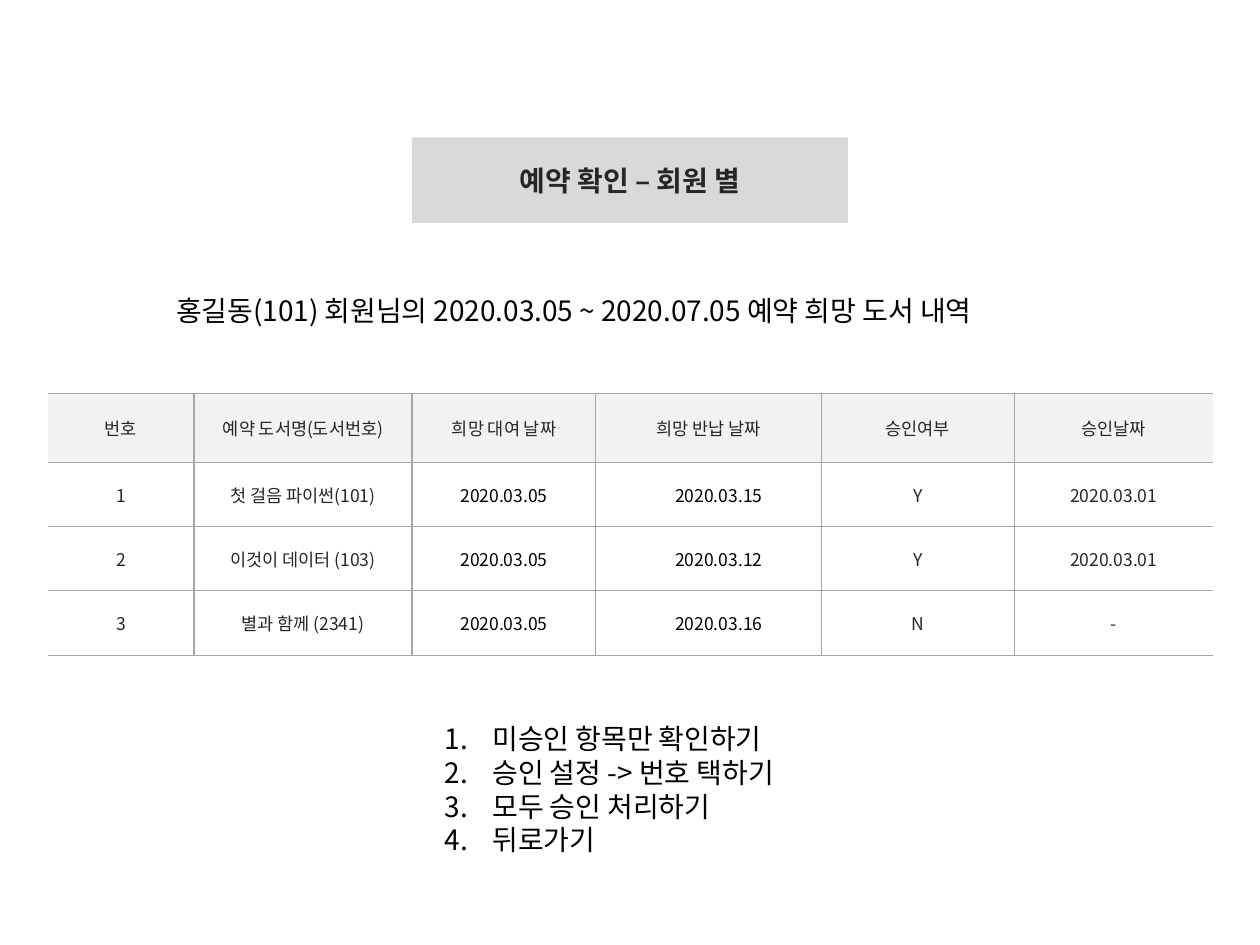
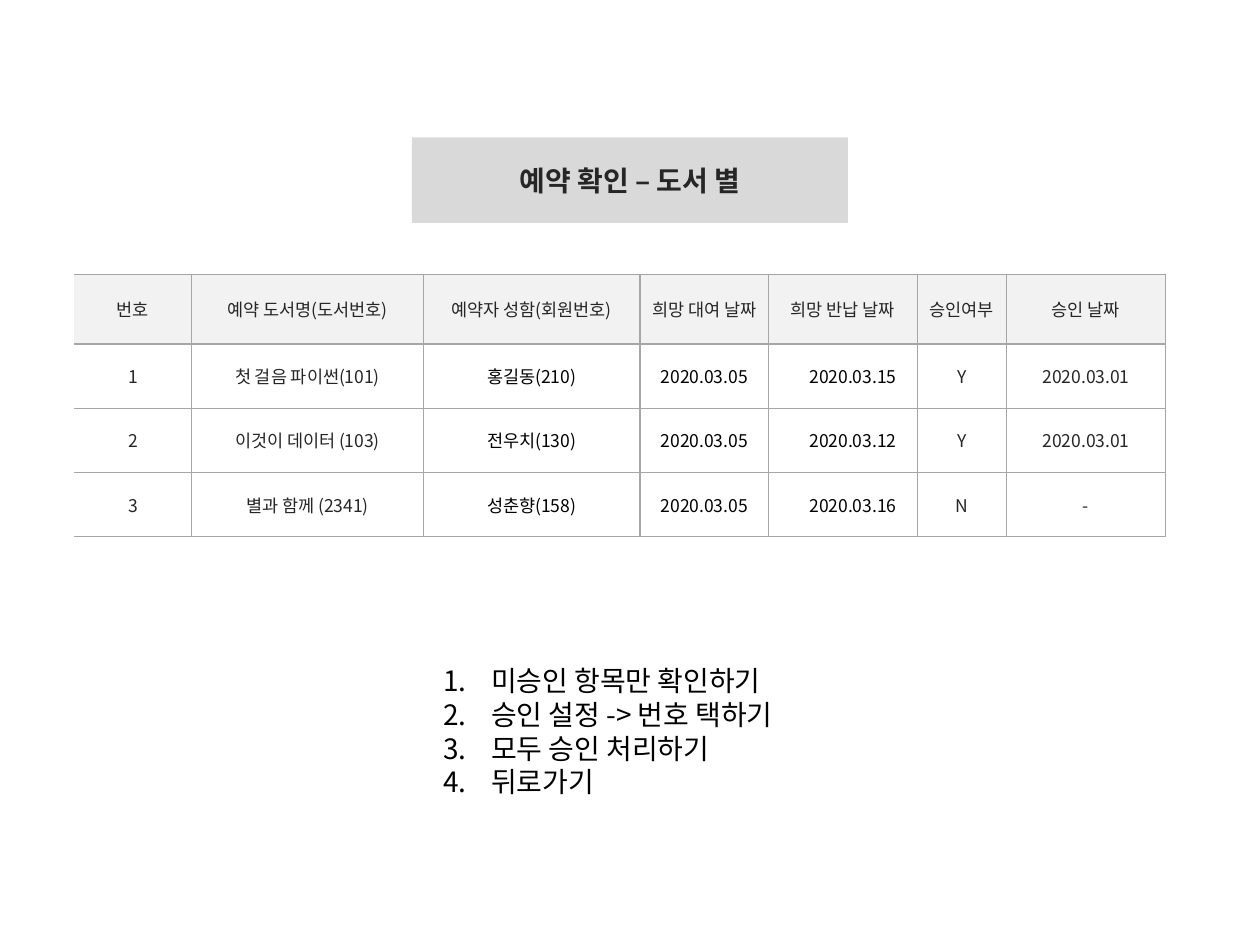
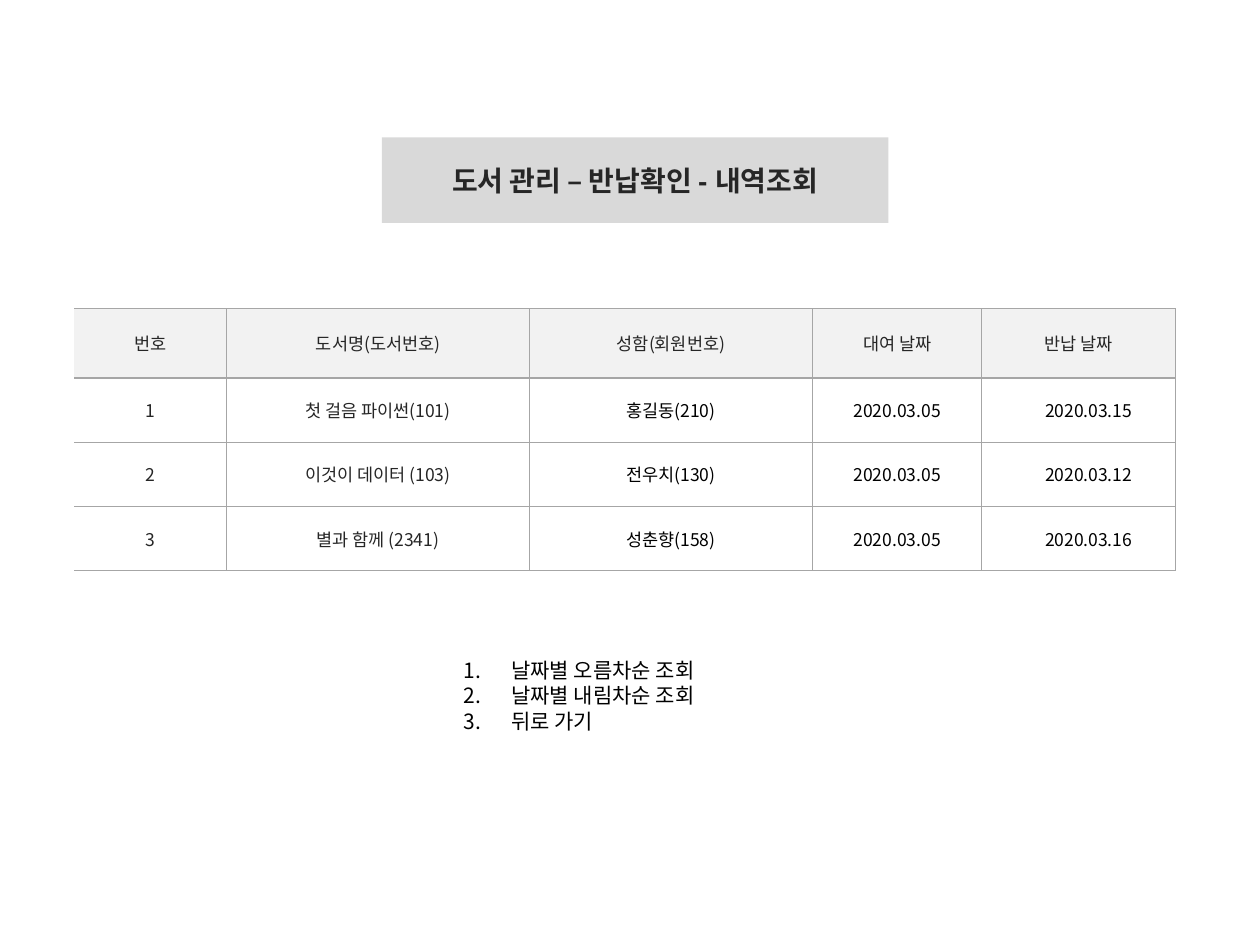
"""Builds three library screens: reservations by member, by book, and returned books."""
import dataclasses

import lxml.etree
import pptx
import pptx.dml.color
import pptx.enum.shapes
import pptx.enum.text
import pptx.oxml.ns
import pptx.slide
import pptx.table
import pptx.text.text
import pptx.util

Inches = pptx.util.Inches
Pt = pptx.util.Pt
RGBColor = pptx.dml.color.RGBColor

BLACK = RGBColor(0x00, 0x00, 0x00)
CHARCOAL = RGBColor(0x26, 0x26, 0x26)
RULE_GREY = RGBColor(0xA6, 0xA6, 0xA6)
BAND_GREY = RGBColor(0xD9, 0xD9, 0xD9)
HEADER_GREY = RGBColor(0xF2, 0xF2, 0xF2)
WHITE = RGBColor(0xFF, 0xFF, 0xFF)

TITLE_FONT = "Arial"
BODY_FONT = "Noto Sans CJK KR"
HEADER_HEIGHT = Inches(0.55)
ROW_HEIGHT = Inches(0.51)
LIST_INDENT = Inches(0.38)
RETURN_INSET = Inches(0.16)


@dataclasses.dataclass(frozen=True)
class Column:
    """One table column with its header, width and entries."""
    header: str
    width: float
    entries: tuple[str, ...]
    colour: RGBColor = CHARCOAL
    inset: int = 0


@dataclasses.dataclass(frozen=True)
class Grid:
    """A table of columns, with or without a closing rule on the right."""
    left: float
    top: float
    columns: tuple[Column, ...]
    right_rule: bool = True


@dataclasses.dataclass(frozen=True)
class TextBlock:
    """A free text box, numbered when it is a menu."""
    left: float
    top: float
    width: float
    height: float
    lines: tuple[str, ...]
    size: int = 16
    numbered: bool = True


@dataclasses.dataclass(frozen=True)
class Screen:
    """Everything shown on one slide."""
    title: str
    grid: Grid
    blocks: tuple[TextBlock, ...]
    title_left: float = 3.27
    title_width: float = 3.46


def add_span(para: pptx.text.text._Paragraph, text: str, size: int,
             colour: RGBColor, font: str = BODY_FONT, bold: bool = False) -> None:
    """Add one run with its Latin and East Asian fonts."""
    span = para.add_run()
    span.text = text
    span.font.size = Pt(size)
    span.font.bold = bold
    span.font.color.rgb = colour
    span.font.name = font
    east_asian = lxml.etree.Element(pptx.oxml.ns.qn("a:ea"), typeface=BODY_FONT)
    span.font._element.find(pptx.oxml.ns.qn("a:latin")).addnext(east_asian)


def add_title(page: pptx.slide.Slide, screen: Screen) -> None:
    """Draw the grey title band."""
    band = page.shapes.add_shape(
        pptx.enum.shapes.MSO_SHAPE.RECTANGLE, Inches(screen.title_left),
        Inches(1.09), Inches(screen.title_width), Inches(0.68))
    band.shadow.inherit = False
    band.fill.solid()
    band.fill.fore_color.rgb = BAND_GREY
    band.line.fill.background()
    band.text_frame.vertical_anchor = pptx.enum.text.MSO_ANCHOR.MIDDLE
    para = band.text_frame.paragraphs[0]
    para.alignment = pptx.enum.text.PP_ALIGN.CENTER
    add_span(para, screen.title, 16, CHARCOAL, TITLE_FONT, True)


def number_paragraph(para: pptx.text.text._Paragraph) -> None:
    """Give a paragraph a hanging automatic number."""
    properties = para._p.get_or_add_pPr()
    properties.set("marL", str(LIST_INDENT))
    properties.set("indent", str(-LIST_INDENT))
    lxml.etree.SubElement(properties, pptx.oxml.ns.qn("a:buAutoNum"), type="arabicPeriod")


def add_block(page: pptx.slide.Slide, block: TextBlock) -> None:
    """Draw a text box that does not wrap."""
    box = page.shapes.add_textbox(Inches(block.left), Inches(block.top),
                                  Inches(block.width), Inches(block.height))
    frame = box.text_frame
    frame.word_wrap = False
    frame.auto_size = pptx.enum.text.MSO_AUTO_SIZE.SHAPE_TO_FIT_TEXT
    for index, line in enumerate(block.lines):
        para = frame.add_paragraph() if index else frame.paragraphs[0]
        if block.numbered:
            number_paragraph(para)
        add_span(para, line, block.size, BLACK)


def rule_cell(cell: pptx.table._Cell, left: bool, right: bool) -> None:
    """Rule a cell above and below, and at the sides asked for."""
    properties = cell._tc.get_or_add_tcPr()
    for side, shown in (("L", left), ("R", right), ("T", True), ("B", True)):
        line = lxml.etree.SubElement(
            properties, pptx.oxml.ns.qn(f"a:ln{side}"), w=str(Pt(0.75)))
        if shown:
            fill = lxml.etree.SubElement(line, pptx.oxml.ns.qn("a:solidFill"))
            lxml.etree.SubElement(fill, pptx.oxml.ns.qn("a:srgbClr"), val=str(RULE_GREY))
        else:
            lxml.etree.SubElement(line, pptx.oxml.ns.qn("a:noFill"))


def fill_cell(cell: pptx.table._Cell, text: str, background: RGBColor,
              colour: RGBColor, inset: int) -> None:
    """Colour a cell and centre its text."""
    cell.fill.solid()
    cell.fill.fore_color.rgb = background
    cell.margin_left = inset
    cell.margin_right = cell.margin_top = cell.margin_bottom = 0
    cell.vertical_anchor = pptx.enum.text.MSO_ANCHOR.MIDDLE
    para = cell.text_frame.paragraphs[0]
    para.alignment = pptx.enum.text.PP_ALIGN.CENTER
    add_span(para, text, 10, colour)


def add_grid(page: pptx.slide.Slide, grid: Grid) -> None:
    """Draw a table under a shaded header row."""
    entry_count = len(grid.columns[0].entries)
    table = page.shapes.add_table(
        entry_count + 1, len(grid.columns), Inches(grid.left), Inches(grid.top),
        Inches(sum(column.width for column in grid.columns)),
        HEADER_HEIGHT + entry_count * ROW_HEIGHT).table
    table.first_row = table.horz_banding = False
    for index, row in enumerate(table.rows):
        row.height = ROW_HEIGHT if index else HEADER_HEIGHT
    last = len(grid.columns) - 1
    for across, column in enumerate(grid.columns):
        table.columns[across].width = Inches(column.width)
        for down, text in enumerate((column.header, *column.entries)):
            cell = table.cell(down, across)
            rule_cell(cell, across > 0, across < last or grid.right_rule)
            if down:
                fill_cell(cell, text, WHITE, column.colour, column.inset)
            else:
                fill_cell(cell, text, HEADER_GREY, CHARCOAL, 0)


def number_column(width: float) -> Column:
    """Return the row number column."""
    return Column("번호", width, ("1", "2", "3"))


def book_column(header: str, width: float) -> Column:
    """Return the book title column."""
    return Column(header, width, ("첫 걸음 파이썬(101)", "이것이 데이터 (103)", "별과 함께 (2341)"))


def member_column(header: str, width: float) -> Column:
    """Return the member name column."""
    return Column(header, width, ("홍길동(210)", "전우치(130)", "성춘향(158)"), BLACK)


def loan_columns(prefix: str, loan_width: float, return_width: float) -> tuple[Column, ...]:
    """Return the loan date and return date columns."""
    return (
        Column(f"{prefix}대여 날짜", loan_width, ("2020.03.05",) * 3, BLACK),
        Column(f"{prefix}반납 날짜", return_width,
               ("2020.03.15", "2020.03.12", "2020.03.16"), BLACK, RETURN_INSET),
    )


def approval_columns(date_header: str, state_width: float,
                     date_width: float) -> tuple[Column, ...]:
    """Return the approval state and approval date columns."""
    return (
        Column("승인여부", state_width, ("Y", "Y", "N")),
        Column(date_header, date_width, ("2020.03.01", "2020.03.01", "-")),
    )


def approval_menu(left: float, top: float) -> TextBlock:
    """Return the menu shared by both reservation screens."""
    return TextBlock(left, top, 3.17, 1.18, (
        "미승인 항목만 확인하기", "승인 설정 -> 번호 택하기", "모두 승인 처리하기", "뒤로가기"))


SCREENS = (
    Screen(
        "예약 확인 – 회원 별",
        Grid(0.38, 3.12, (
            number_column(1.16),
            book_column("예약 도서명(도서번호)", 1.73),
            *loan_columns("희망 ", 1.46, 1.79),
            *approval_columns("승인날짜", 1.53, 1.58),
        ), right_rule=False),
        (
            TextBlock(1.3, 2.28, 7.18, 0.37,
                      ("홍길동(101) 회원님의 2020.03.05 ~ 2020.07.05 예약 희망 도서 내역",),
                      numbered=False),
            approval_menu(3.43, 5.68),
        ),
    ),
    Screen(
        "예약 확인 – 도서 별",
        Grid(0.59, 2.18, (
            number_column(0.93),
            book_column("예약 도서명(도서번호)", 1.84),
            member_column("예약자 성함(회원번호)", 1.72),
            *loan_columns("희망 ", 1.02, 1.18),
            *approval_columns("승인 날짜", 0.71, 1.26),
        )),
        (approval_menu(3.42, 5.22),),
    ),
    Screen(
        "도서 관리 – 반납확인 - 내역조회",
        Grid(0.59, 2.45, (
            number_column(1.21),
            book_column("도서명(도서번호)", 2.4),
            member_column("성함(회원번호)", 2.25),
            *loan_columns("", 1.34, 1.54),
        )),
        (TextBlock(3.58, 5.17, 2.21, 0.71,
                   ("날짜별 오름차순 조회", "날짜별 내림차순 조회", "뒤로 가기"), 12),),
        title_left=3.03,
        title_width=4.02,
    ),
)


def main() -> None:
    """Build and save the deck."""
    deck = pptx.Presentation()
    deck.slide_width = Inches(10)
    deck.slide_height = Inches(7.5)
    for screen in SCREENS:
        page = deck.slides.add_slide(deck.slide_layouts[6])
        add_title(page, screen)
        add_grid(page, screen.grid)
        for block in screen.blocks:
            add_block(page, block)
    deck.save("out.pptx")


if __name__ == "__main__":
    main()
